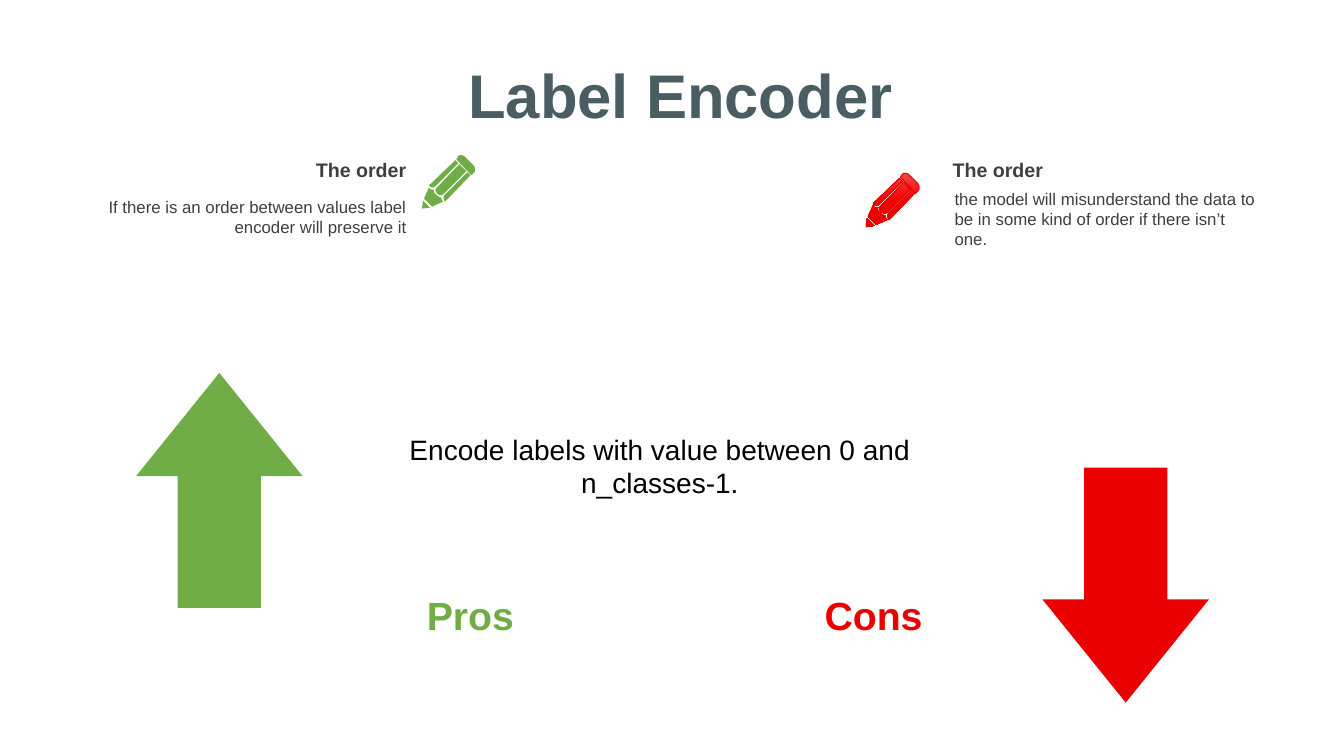
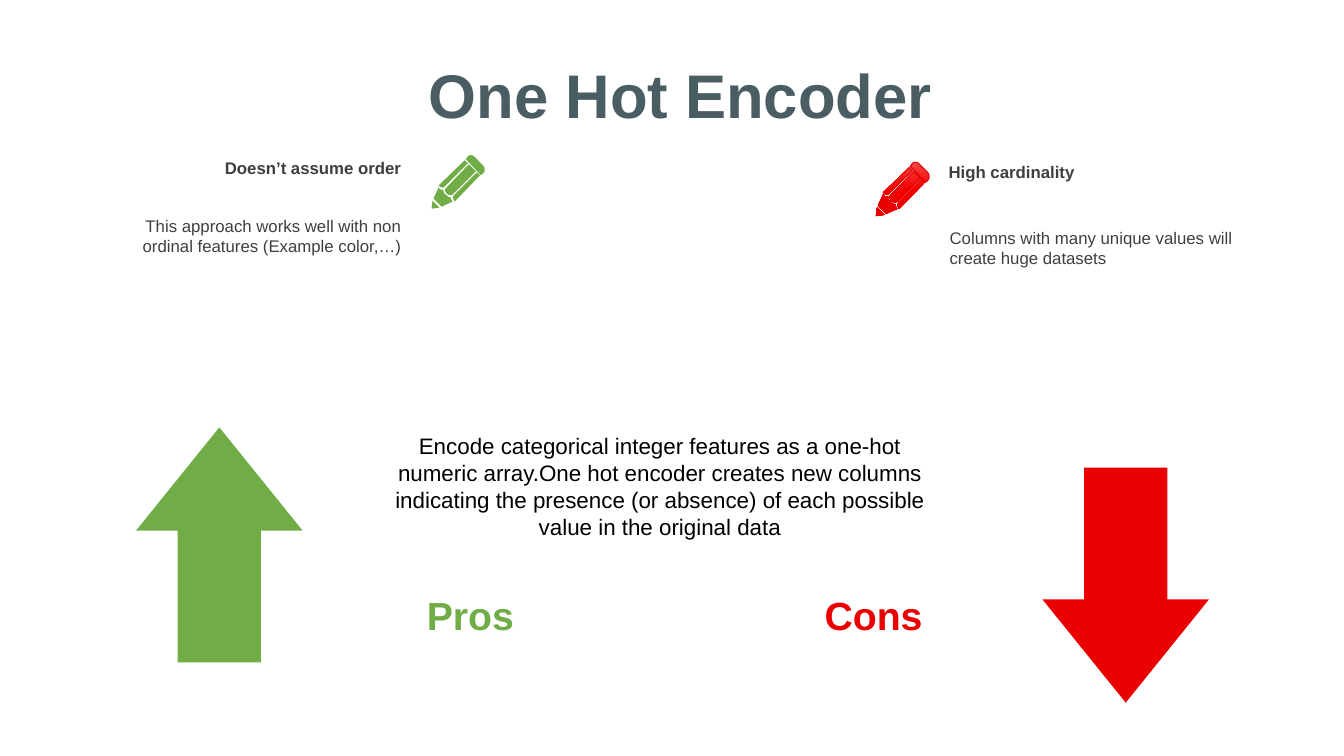
from copy import deepcopy
from dataclasses import dataclass

from pptx import Presentation
from pptx.dml.color import RGBColor
from pptx.enum.shapes import MSO_SHAPE
from pptx.enum.text import MSO_ANCHOR, PP_ALIGN
from pptx.oxml.ns import qn
from pptx.util import Inches, Pt

COLORS = {
    "pros": "70AD47", "cons": "EA0000", "title": "4A5D62",
    "note": "3F3F3F", "summary": "000000",
}
PENCIL_GRADIENT = ["F24747", "F50000", "E20000"]
FONT = "Arial"
PENCIL_SIZE = 53
# Outlines on a 53 x 53 grid: pairs are corners, sextuples are Bezier curves
PENCIL = [
    [(1, 45), (8, 52), (0, 53)],
    [(7, 32), (8, 34, 10, 35, 12, 34), (11, 35, 12, 38, 14, 39),
     (16, 41, 18, 42, 19, 42), (19, 43, 20, 45, 21, 46), (10, 51), (2, 43)],
    [(45, 17), (48, 20), (23, 46), (21, 44, 21, 41, 22, 40)],
    [(37, 9), (44, 16), (21, 39), (19, 40, 17, 40, 15, 38),
     (13, 36, 13, 34, 14, 33)],
    [(33, 5), (36, 8), (13, 31), (12, 33, 9, 32, 8, 31), (7, 30)],
    [(39, 0), (41, 0, 42, 1, 43, 2), (51, 10), (53, 12, 53, 15, 52, 17),
     (51, 18, 50, 19, 49, 20), (34, 4), (36, 1), (37, 0, 38, 0, 39, 0)],
]


@dataclass
class Box:
    left: float
    top: float
    width: float
    height: float

    def inner(self, left, top, width, height):
        """Inner box, given in percent of this one."""
        return Box(self.left + self.width * left / 100,
                   self.top + self.height * top / 100,
                   self.width * width / 100, self.height * height / 100)

    def lengths(self):
        return [Inches(v) for v in (self.left, self.top, self.width, self.height)]


SLIDE = Box(0, 0, 13.33, 7.5)


@dataclass
class Side:
    """One side of the comparison; places are percent of the slide."""
    heading: str
    heading_at: tuple
    heading_size: int
    note: str
    note_at: tuple
    pencil_at: tuple
    arrow_at: tuple


def rgb(name):
    return RGBColor.from_string(COLORS[name])


def add_text(page, box, text, size, color, align=PP_ALIGN.LEFT, bold=False,
             anchor=MSO_ANCHOR.TOP):
    frame = page.shapes.add_textbox(*box.lengths()).text_frame
    frame.word_wrap = True
    frame.vertical_anchor = anchor
    frame.text = text
    para = frame.paragraphs[0]
    para.alignment = align
    font = para.runs[0].font
    font.name, font.size, font.bold = FONT, Pt(size), bold
    font.color.rgb = rgb(color)


def add_arrow(page, box, color, rotation):
    arrow = page.shapes.add_shape(MSO_SHAPE.UP_ARROW, *box.lengths())
    arrow.shadow.inherit = False
    arrow.adjustments[1] = 0.62
    arrow.rotation = rotation
    arrow.fill.solid()
    arrow.fill.fore_color.rgb = rgb(color)
    arrow.line.fill.background()


def trace(outline, steps=4):
    """Turn corners and curves into a list of points."""
    points = [outline[0]]
    for piece in outline[1:]:
        if len(piece) == 2:
            points.append(piece)
            continue
        start, controls = points[-1], (piece[:2], piece[2:4], piece[4:])
        for step in range(1, steps + 1):
            t = step / steps
            weights = ((1 - t) ** 3, 3 * t * (1 - t) ** 2,
                       3 * t ** 2 * (1 - t), t ** 3)
            points.append(tuple(
                sum(w * p[axis] for w, p in zip(weights, (start, *controls)))
                for axis in (0, 1)))
    return points


def add_pencil(page, box, color):
    fine = 100
    outlines = [[(x * fine, y * fine) for x, y in trace(outline)]
                for outline in PENCIL]
    scale = Inches(box.width) / (PENCIL_SIZE * fine)
    builder = page.shapes.build_freeform(*outlines[0][0], scale=scale)
    for index, points in enumerate(outlines):
        if index:
            builder.move_to(*points[0])
        builder.add_line_segments(points[1:], close=True)
    pencil = builder.convert_to_shape(Inches(box.left), Inches(box.top))
    pencil.shadow.inherit = False
    if color == "pros":
        pencil.fill.solid()
        pencil.fill.fore_color.rgb = rgb(color)
        pencil.line.fill.background()
        return
    # Red pencil: three-stop gradient from top to bottom, thin outline
    pencil.fill.gradient()
    pencil.fill.gradient_angle = 270
    stops = pencil.element.spPr.find(qn("a:gradFill")).find(qn("a:gsLst"))
    stops.insert(1, deepcopy(stops[0]))
    for index, stop in enumerate(pencil.fill.gradient_stops):
        stop.color.rgb = RGBColor.from_string(PENCIL_GRADIENT[index])
        stop.position = index / 2
    pencil.line.color.rgb = rgb(color)
    pencil.line.width = Pt(0.75)


def add_side(page, box, side, color, label, label_left, align, rotation):
    add_text(page, box.inner(label_left, 77.5, 9.6, 7.6), label, 28, color,
             PP_ALIGN.CENTER, bold=True)
    add_arrow(page, box.inner(*side.arrow_at, 12.38, 31.07), color, rotation)
    add_pencil(page, box.inner(*side.pencil_at, 3.98, 7.07), color)
    add_text(page, box.inner(*side.heading_at, 24.2, 4.5), side.heading,
             side.heading_size, "note", align, bold=True)
    add_text(page, box.inner(*side.note_at, 24.2, 7), side.note, 12, "note", align)


def add_comparison(deck, box, title, summary, summary_size, pros, cons):
    page = deck.slides.add_slide(deck.slide_layouts[6])
    # Title and summary
    add_text(page, box.inner(21.4, 6.8, 58.5, 11.2), title, 44, "title",
             PP_ALIGN.CENTER, bold=True, anchor=MSO_ANCHOR.MIDDLE)
    add_text(page, box.inner(28.5, 56.5, 41.2, 15.7), summary, summary_size,
             "summary", PP_ALIGN.CENTER)
    # Both sides
    add_side(page, box, pros, "pros", "Pros", 30.2, PP_ALIGN.RIGHT, 0)
    add_side(page, box, cons, "cons", "Cons", 60.2, PP_ALIGN.LEFT, 180)


def main():
    deck = Presentation()
    deck.slide_width, deck.slide_height = Inches(SLIDE.width), Inches(SLIDE.height)
    cons_arrow = (77.57, 61.87)
    add_comparison(
        deck, SLIDE, "Label Encoder",
        "Encode labels with value between 0 and n_classes-1.", 20,
        Side("The order", (6.78, 20.27), 14,
             "If there is an order between values label encoder will preserve it",
             (6.78, 25.33), (31.4, 20.53), (10.13, 49.33)),
        Side("The order", (70.14, 20.27), 14,
             "the model will misunderstand the data to be in some kind of order "
             "if there isn’t one.",
             (70.29, 24.27), (64.44, 22.93), cons_arrow))
    add_comparison(
        deck, SLIDE, "One Hot Encoder",
        "Encode categorical integer features as a one-hot numeric array.One hot "
        "encoder creates new columns indicating the presence (or absence) of "
        "each possible value in the original data", 16,
        Side("Doesn’t assume order", (6.4, 20.27), 12,
             "This approach works well with non ordinal features (Example color,…)",
             (6.4, 27.87), (32.11, 20.53), (10.13, 56.53)),
        Side("High cardinality", (69.84, 20.67), 12,
             "Columns with many unique values will create huge datasets",
             (69.92, 29.47), (65.19, 21.47), cons_arrow))
    deck.save("out.pptx")


if __name__ == "__main__":
    main()
